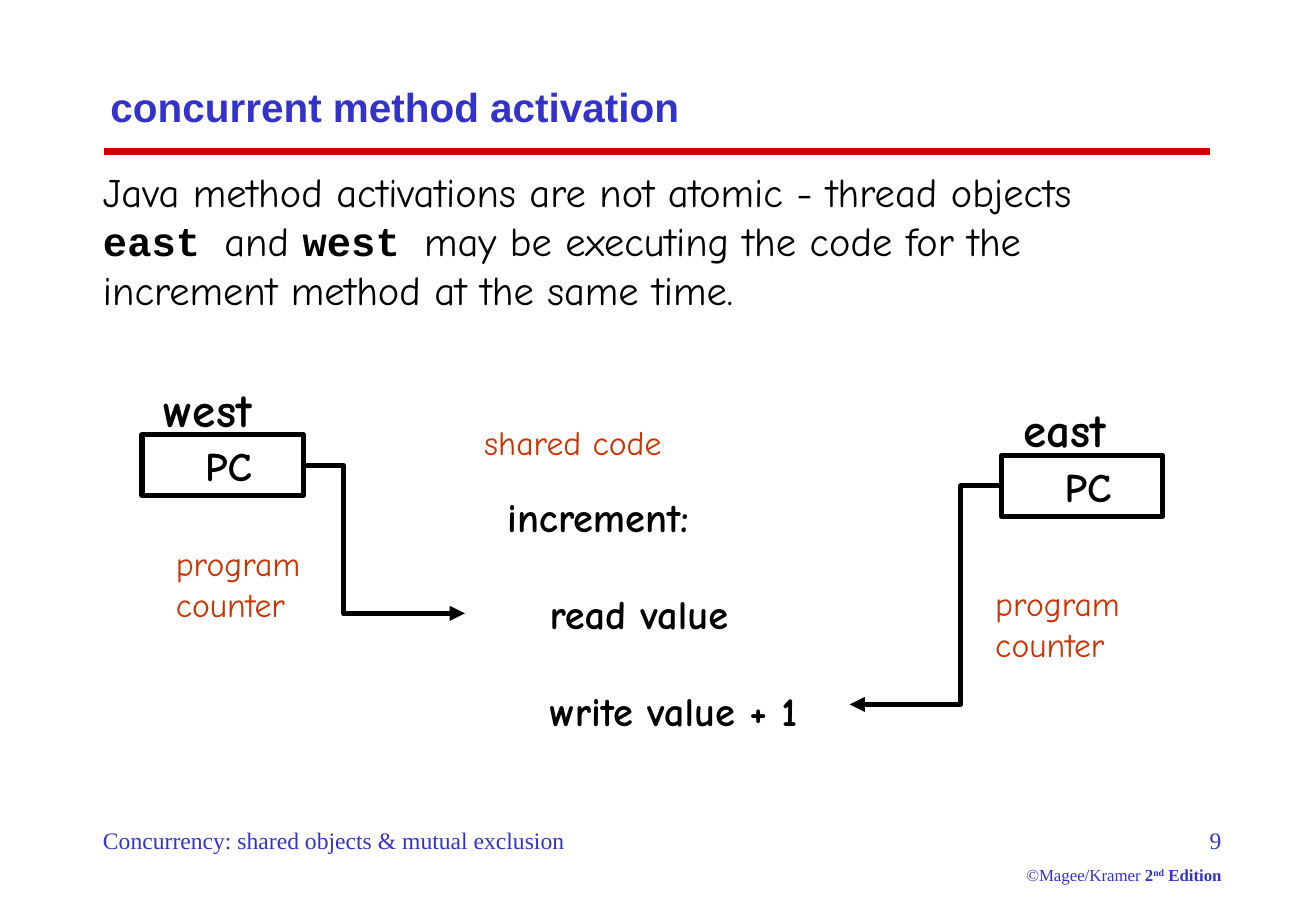
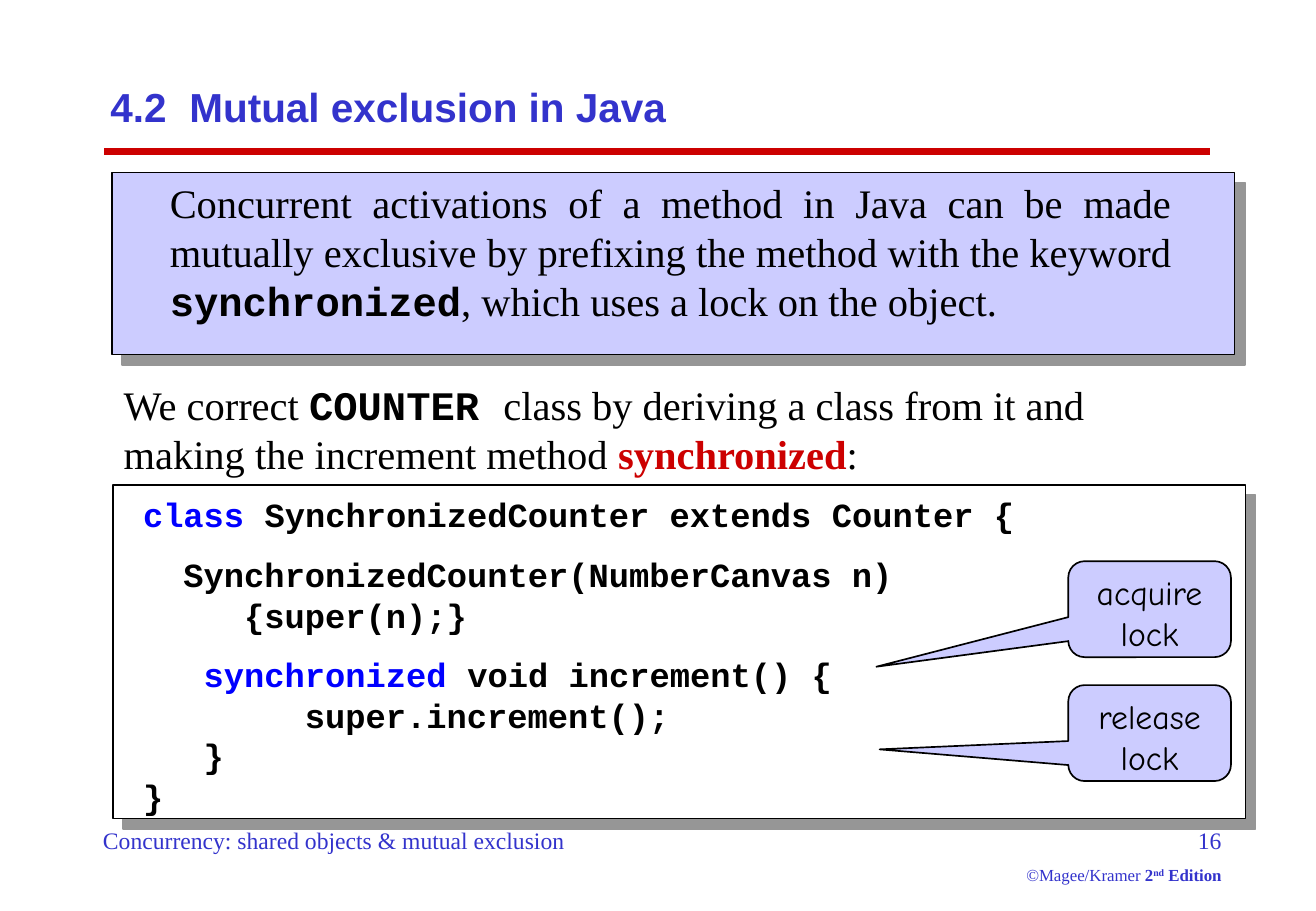
from lxml import etree
from pptx import Presentation
from pptx import util as u
from pptx.dml.color import RGBColor
from pptx.enum import shapes, text
from pptx.oxml import ns

Inches, Pt = u.Inches, u.Pt

COLOURS = {
    "title": "3333CC",
    "rule": "CC0000",
    "ink": "000000",
    "label": "CC3300",
    "keyword": "0000FF",
    "panel": "CCCCFF",
    "paper": "FFFFFF",
    "shadow": "969696",
}
HEADING, HAND, CODE, SERIF = "Arial", "Comic Neue", "Courier New", "Times New Roman"
CODE_CHAR = 12 / 72  # advance of one 20 pt Courier New character, in inches
MONO = {"font": CODE, "bold": True}
KEYWORD = {"colour": "keyword"}


def rgb(name):
    return RGBColor.from_string(COLOURS[name])


def style_run(run, font, size, colour="ink", bold=False, baseline=None):
    run.font.name, run.font.size, run.font.bold = font, Pt(size), bold
    run.font.color.rgb = rgb(colour)
    if baseline:
        run._r.get_or_add_rPr().set("baseline", str(baseline * 1000))


def add_runs(paragraph, runs, style):
    """Fill a paragraph from (text, style changes) pairs."""
    for words, changes in runs:
        run = paragraph.add_run()
        run.text = words
        style_run(run, **{**style, **changes})


def indent(paragraph, left):
    properties = paragraph._p.get_or_add_pPr()
    properties.set("marL", str(Inches(left)))
    properties.set("indent", "0")


def add_tab_stop(paragraph, position):
    stops = etree.SubElement(paragraph._p.get_or_add_pPr(), ns.qn("a:tabLst"))
    etree.SubElement(stops, ns.qn("a:tab"), pos=str(Inches(position)), algn="l")


def add_text(slide, box, paragraphs, font, size, align=text.PP_ALIGN.LEFT, **style):
    """Add a text box; each paragraph is (runs, left indent, space before)."""
    frame = slide.shapes.add_textbox(*map(Inches, box)).text_frame
    frame.word_wrap = True
    for index, (runs, left, before) in enumerate(paragraphs):
        paragraph = frame.add_paragraph() if index else frame.paragraphs[0]
        paragraph.alignment = align
        paragraph.space_before = Pt(before)
        if left:
            indent(paragraph, left)
        add_runs(paragraph, runs, {"font": font, "size": size, **style})
    return frame


def plain(words, left=0, before=0):
    return [(words, {})], left, before


def add_box(slide, box, fill, line_width, preset=shapes.MSO_SHAPE.RECTANGLE):
    shape = slide.shapes.add_shape(preset, *map(Inches, box))
    shape.shadow.inherit = False
    shape.fill.solid()
    shape.fill.fore_color.rgb = rgb(fill)
    shape.line.color.rgb = rgb("ink")
    shape.line.width = Pt(line_width)
    return shape


def add_shadowed_panel(slide, box, fill):
    panel = add_box(slide, box, fill, 1)
    effects = panel._element.spPr.find(ns.qn("a:effectLst"))
    shadow = etree.SubElement(
        effects, ns.qn("a:outerShdw"), dist=str(Pt(8.5)), dir="2700000",
        algn="ctr", rotWithShape="0")
    etree.SubElement(shadow, ns.qn("a:srgbClr"), val=COLOURS["shadow"])


def add_line(slide, kind, start, end, colour, width, arrow=False):
    line = slide.shapes.add_connector(kind, *map(Inches, start + end))
    line.line.color.rgb = rgb(colour)
    line.line.width = Pt(width)
    if arrow:
        etree.SubElement(line.line._get_or_add_ln(), ns.qn("a:tailEnd"), type="triangle")
    etree.SubElement(line._element.spPr, ns.qn("a:effectLst"))


def add_callout(slide, top, words, pointer):
    callout = add_box(slide, (8.8, top, 1.34, 0.79), "panel", 1,
                      shapes.MSO_SHAPE.ROUNDED_RECTANGULAR_CALLOUT)
    for index, value in enumerate((*pointer, 0.17)):
        callout.adjustments[index] = value
    frame = callout.text_frame
    frame.word_wrap = True
    frame.vertical_anchor = text.MSO_ANCHOR.TOP
    paragraph = frame.paragraphs[0]
    paragraph.alignment = text.PP_ALIGN.CENTER
    add_runs(paragraph, [(words, {})], {"font": HAND, "size": 20})


def add_program_counter(slide, left, top):
    counter = add_box(slide, (left, top, 1.33, 0.5), "paper", 3)
    frame = counter.text_frame
    frame.margin_left = Inches(0.52)
    frame.margin_right = 0
    frame.vertical_anchor = text.MSO_ANCHOR.MIDDLE
    paragraph = frame.paragraphs[0]
    paragraph.alignment = text.PP_ALIGN.LEFT
    add_runs(paragraph, [("PC", {})], {"font": HAND, "size": 24, "bold": True})


def add_slide(deck, title, number):
    """Add a title-only slide with the shared title style, rule and footers."""
    slide = deck.slides.add_slide(deck.slide_layouts[5])
    heading = slide.shapes.title
    heading.left, heading.top, heading.width, heading.height = map(
        Inches, (0.81, 0.5, 9.27, 0.75))
    frame = heading.text_frame
    frame.text = title
    frame.auto_size = text.MSO_AUTO_SIZE.NONE
    frame.vertical_anchor = text.MSO_ANCHOR.MIDDLE
    paragraph = frame.paragraphs[0]
    paragraph.alignment = text.PP_ALIGN.LEFT
    add_tab_stop(paragraph, 0.65)
    for run in paragraph.runs:
        style_run(run, HEADING, 24, "title", True)

    add_line(slide, shapes.MSO_CONNECTOR.STRAIGHT, (0.86, 1.25), (9.97, 1.25), "rule", 4)
    add_text(slide, (0.75, 6.75, 4.33, 0.34),
             [plain("Concurrency: shared objects & mutual exclusion")],
             SERIF, 14, colour="title")
    small = {"size": 10}
    strong = {"size": 10, "bold": True}
    edition = [("©Magee/Kramer ", small), ("2", strong),
               ("nd", {**strong, "baseline": 30}), (" Edition", strong)]
    add_text(slide, (8.25, 6.75, 1.91, 0.59), [plain(str(number)), (edition, 0, 6.2)],
             SERIF, 14, text.PP_ALIGN.RIGHT, colour="title")
    return slide


def build_activation_slide(deck):
    slide = add_slide(deck, "concurrent method activation", 9)
    intro = [("Java method activations are not atomic - thread objects ", {}),
             ("east ", MONO), ("and ", {}), ("west ", MONO),
             ("may be executing the code for the increment method at the same time.", {})]
    add_text(slide, (0.75, 1.33, 8.92, 1.3), [(intro, 0, 0)], HAND, 24)

    # thread name and place, counter box, arrow ends, label place
    threads = [
        ("west", (1.25, 3.08), (1.17, 3.58), (1.83, 3.83), (3.83, 5.05), (1.35, 4.42)),
        ("east", (8.33, 3.25), (8.25, 3.75), (8.83, 4), (7, 5.8), (8.1, 4.75)),
    ]
    for name, name_at, counter_at, start, end, label_at in threads:
        add_text(slide, (*name_at, 1.17, 0.57), [plain(name)], HAND, 28, bold=True)
        add_line(slide, shapes.MSO_CONNECTOR.ELBOW, start, end, "ink", 3, arrow=True)
        add_program_counter(slide, *counter_at)
        add_text(slide, (*label_at, 1.3, 0.77), [plain("program"), plain("counter")],
                 HAND, 20, colour="label")

    add_text(slide, (3.89, 3.42, 1.8, 0.44), [plain("shared code")],
             HAND, 20, colour="label")
    steps = [plain("increment:"), plain("read value", 0.35, 28.8),
             plain("write value + 1", 0.35, 28.8)]
    add_text(slide, (4.08, 4, 2.8, 2.1), steps, HAND, 24, bold=True)


def build_mutual_exclusion_slide(deck):
    slide = add_slide(deck, "4.2\tMutual exclusion in Java", 16)
    add_shadowed_panel(slide, (0.93, 3.99, 9.33, 2.75), "paper")
    add_shadowed_panel(slide, (0.92, 1.42, 9.25, 1.5), "panel")

    principle = [("Concurrent activations of a method in Java can be made mutually "
                  "exclusive by prefixing the method with the keyword ", {}),
                 ("synchronized", MONO), (", which uses a lock on the object.", {})]
    add_text(slide, (0.67, 1.42, 9.08, 1.3), [(principle, 0.63, 0)], SERIF, 24,
             text.PP_ALIGN.JUSTIFY)

    correction = [("We correct ", {}), ("COUNTER ", MONO),
                  ("class by deriving a class from it and making the increment method ", {}),
                  ("synchronized", {"colour": "rule", "bold": True}), (":", {})]
    add_text(slide, (0.92, 3.08, 8.58, 0.9), [(correction, 0, 0)], SERIF, 24)

    # runs, indent in characters, space before in points
    code = [
        ([("class", KEYWORD), (" SynchronizedCounter extends Counter {", {})], 0, 0),
        plain("SynchronizedCounter(NumberCanvas n)", 2, 11.3),
        plain("{super(n);}", 5),
        ([("synchronized", KEYWORD), (" void increment() {", {})], 3, 11.3),
        plain("super.increment();", 8),
        plain("}", 3),
        plain("}"),
    ]
    lines = [(runs, chars * CODE_CHAR, before) for runs, chars, before in code]
    add_text(slide, (1.08, 4.02, 8.67, 2.77), lines, CODE, 20, bold=True)

    add_callout(slide, 4.62, "acquire lock", (-1.68, 0.6))
    add_callout(slide, 5.64, "release lock", (-1.66, 0.17))


def main():
    deck = Presentation()
    deck.slide_width, deck.slide_height = Inches(10.84), Inches(7.5)
    build_activation_slide(deck)
    build_mutual_exclusion_slide(deck)
    deck.save("out.pptx")


if __name__ == "__main__":
    main()
